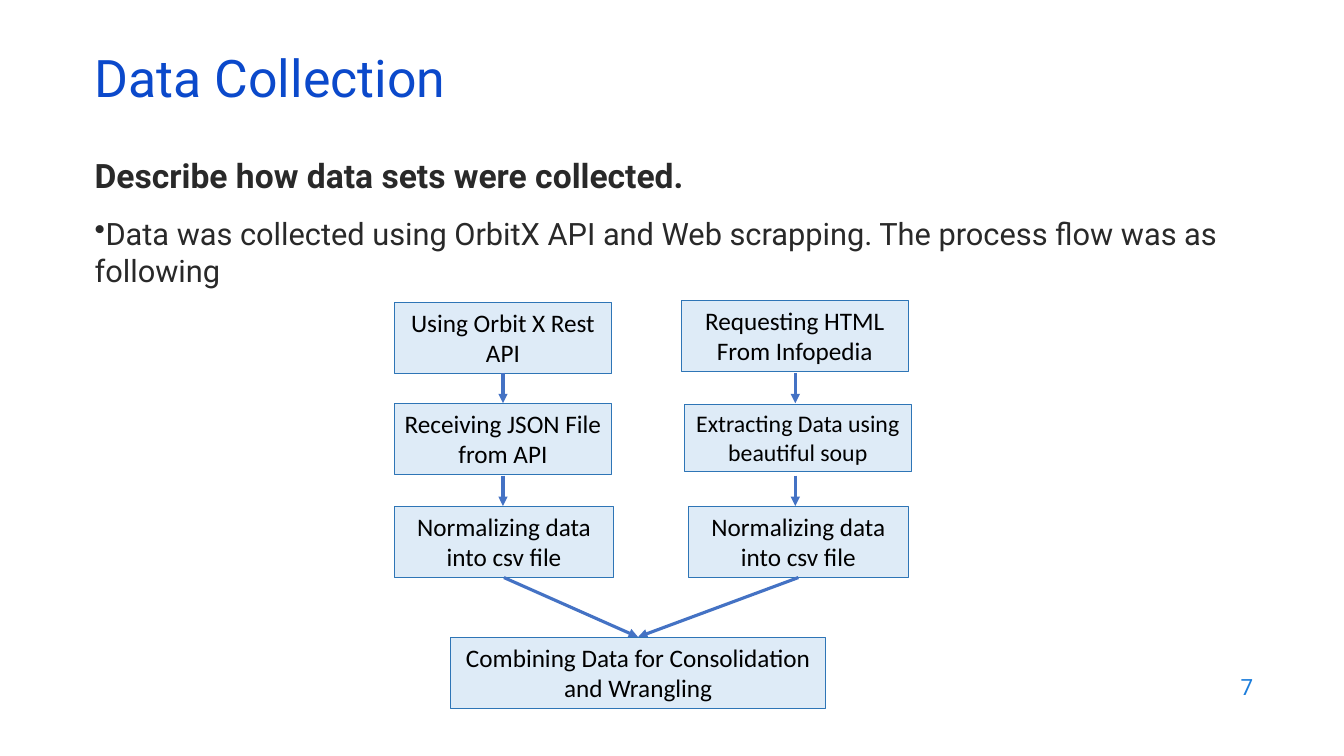
from lxml import etree
from pptx import Presentation
from pptx import util as u
from pptx.dml import color
from pptx.enum import shapes, text
from pptx.oxml import ns

COLUMNS, ROWS = 40, 30
WIDTH, HEIGHT = u.Inches(13.333), u.Inches(7.5)


def rgb(hex_colour):
    return color.RGBColor.from_string(hex_colour)


class FlowSlide:
    """Places elements on a grid of 40 columns by 30 rows."""

    heading_font, step_font = "Roboto", "Calibri"
    title_colour, body_colour, number_colour = "0B49CB", "292929", "1C7DDB"
    step_fill, step_line, step_text = "DEEBF7", "2E75B6", "000000"
    arrow_colour = "4472C4"

    def __init__(self, deck):
        self.slide = deck.slides.add_slide(deck.slide_layouts[5])

    def at(self, *lengths):
        units = (WIDTH / COLUMNS, HEIGHT / ROWS)
        return [round(length * units[i % 2]) for i, length in enumerate(lengths)]

    def style(self, paragraph, size, font, colour, bold=False):
        for run in paragraph.runs:
            run.font.size, run.font.name, run.font.bold = u.Pt(size), font, bold
            run.font.color.rgb = rgb(colour)

    def title(self, words, *place):
        title = self.slide.shapes.title
        title.left, title.top, title.width, title.height = self.at(*place)
        frame = title.text_frame
        frame.text = words
        frame.vertical_anchor = text.MSO_ANCHOR.MIDDLE
        heading = frame.paragraphs[0]
        heading.alignment = text.PP_ALIGN.LEFT
        heading.line_spacing = 0.7
        self.style(heading, 37, self.heading_font, self.title_colour)

    def textbox(self, *place):
        frame = self.slide.shapes.add_textbox(*self.at(*place)).text_frame
        frame.word_wrap = True
        return frame

    def body(self, lead, point, *place):
        frame = self.textbox(*place)
        frame.text = lead
        self.style(frame.paragraphs[0], 24, self.heading_font, self.body_colour, True)
        detail = frame.add_paragraph()
        detail.text = point
        properties = detail._p.get_or_add_pPr()
        properties.set("marL", "0")
        properties.set("indent", "0")
        etree.SubElement(properties, ns.qn("a:buChar"), char="•")
        detail.space_before = u.Pt(14)
        self.style(detail, 22, self.heading_font, self.body_colour)

    def page_number(self, number, *place):
        frame = self.textbox(*place)
        frame.text = number
        frame.vertical_anchor = text.MSO_ANCHOR.MIDDLE
        frame.paragraphs[0].alignment = text.PP_ALIGN.RIGHT
        self.style(frame.paragraphs[0], 16, self.heading_font, self.number_colour)

    def step(self, words, left, top, width, height=2.84, size=18):
        box = self.slide.shapes.add_shape(
            shapes.MSO_SHAPE.RECTANGLE, *self.at(left, top, width, height))
        box.shadow.inherit = False
        box.fill.solid()
        box.fill.fore_color.rgb = rgb(self.step_fill)
        box.line.color.rgb = rgb(self.step_line)
        box.line.width = u.Pt(0.75)
        frame = box.text_frame
        frame.text = words
        frame.word_wrap = True
        frame.auto_size = text.MSO_AUTO_SIZE.SHAPE_TO_FIT_TEXT
        frame.vertical_anchor = text.MSO_ANCHOR.TOP
        frame.paragraphs[0].alignment = text.PP_ALIGN.CENTER
        self.style(frame.paragraphs[0], size, self.step_font, self.step_text)

    def arrow(self, *ends):
        arrow = self.slide.shapes.add_connector(
            shapes.MSO_CONNECTOR.STRAIGHT, *self.at(*ends))
        arrow.line.color.rgb = rgb(self.arrow_colour)
        arrow.line.width = u.Pt(2.25)
        etree.SubElement(arrow.line._get_or_add_ln(), ns.qn("a:tailEnd"), type="triangle")
        etree.SubElement(arrow._element.spPr, ns.qn("a:effectLst"))


def main():
    deck = Presentation()
    deck.slide_width, deck.slide_height = WIDTH, HEIGHT
    page = FlowSlide(deck)

    # Heading and description
    page.title("Data Collection", 2.52, 2.16, 34.5, 2.4)
    page.body("Describe how data sets were collected.",
              "Data was collected using OrbitX API and Web scrapping. "
              "The process flow was as following", 2.52, 5.96, 34.5, 5.4)
    page.page_number("7", 28.59, 26.36, 9, 1.76)

    # API branch
    page.step("Using Orbit X Rest API", 11.73, 12, 6.48)
    page.step("Receiving JSON File from API", 11.73, 16, 6.48)

    # Web scraping branch
    page.step("Requesting HTML From Infopedia", 20.28, 11.92, 6.75)
    page.step("Extracting Data using beautiful soup", 20.37, 16.04, 6.75, 2.68, 17)

    # Both branches end alike and meet in one step
    merge_x, merge_top = 18.99, 25.28
    for normalizing_left, flow_x in ((11.73, 14.97), (20.49, 23.67)):
        page.step("Normalizing data into csv file", normalizing_left, 20.08, 6.54)
        for arrow_top in (14.8, 18.88):
            page.arrow(flow_x, arrow_top, flow_x, arrow_top + 1.2)
        page.arrow(normalizing_left + 6.54 / 2, 22.92, merge_x, merge_top)
    page.step("Combining Data for Consolidation and Wrangling",
              merge_x - 11.16 / 2, merge_top, 11.16)

    deck.save("out.pptx")


if __name__ == "__main__":
    main()
